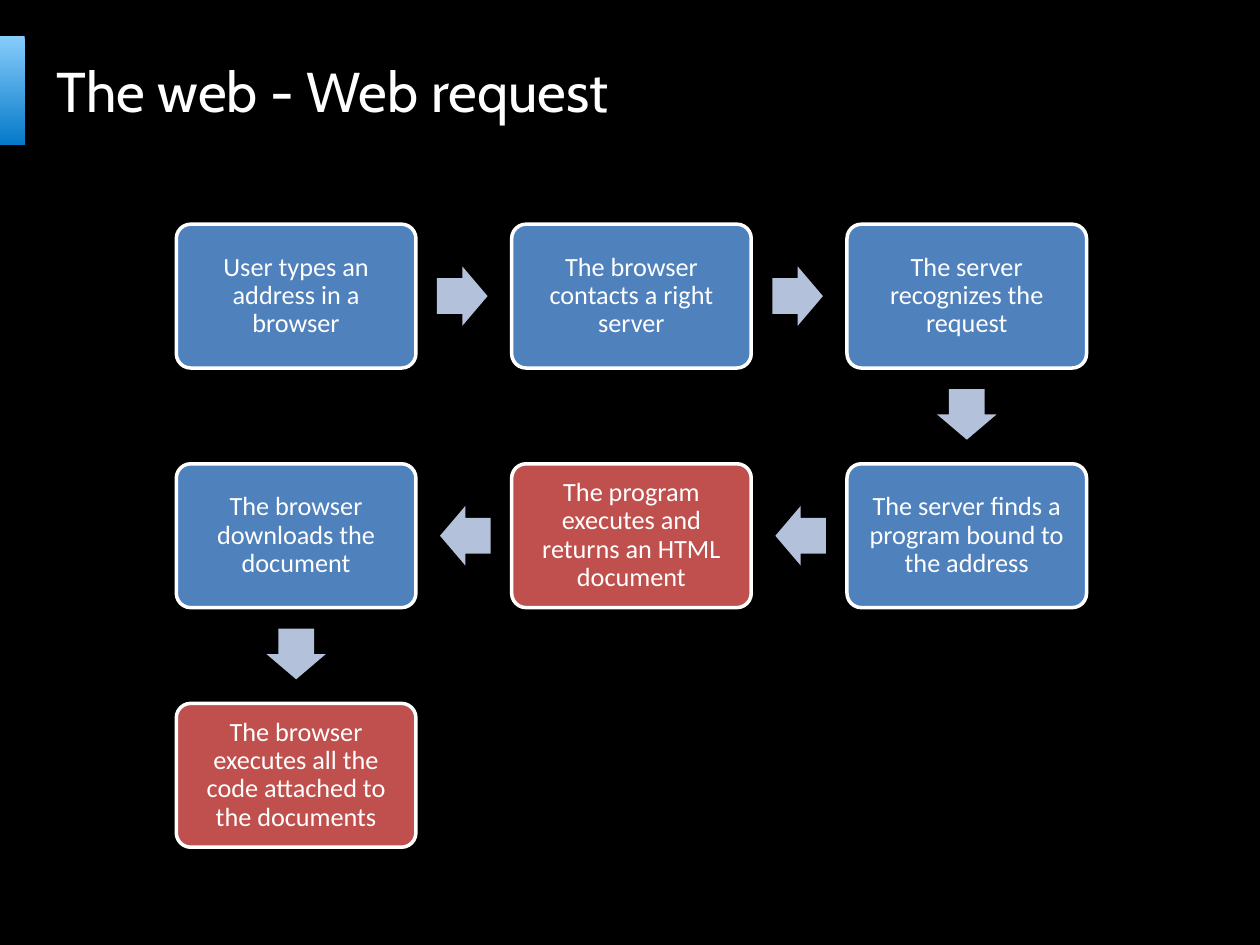
from pptx import Presentation
from pptx.dml.color import RGBColor
from pptx.enum.shapes import MSO_SHAPE
from pptx.enum.text import MSO_ANCHOR, PP_ALIGN
from pptx.util import Cm, Pt

RECTANGLE = MSO_SHAPE.RECTANGLE
ROUNDED = MSO_SHAPE.ROUNDED_RECTANGLE
ARROW = MSO_SHAPE.RIGHT_ARROW
MIDDLE = MSO_ANCHOR.MIDDLE
LEFT, CENTER = PP_ALIGN.LEFT, PP_ALIGN.CENTER

BLACK = RGBColor(0x00, 0x00, 0x00)
WHITE = RGBColor(0xFF, 0xFF, 0xFF)
BLUE = RGBColor(0x4F, 0x81, 0xBD)
RED = RGBColor(0xC0, 0x50, 0x4D)
PALE_BLUE = RGBColor(0xB3, 0xC1, 0xDB)
ACCENT_TOP = RGBColor(0x87, 0xCD, 0xFC)
ACCENT_BOTTOM = RGBColor(0x04, 0x79, 0xC8)


def write(box, text, font, size, align=LEFT, spacing=1.0, inset=None):
    frame = box.text_frame
    frame.word_wrap = True
    frame.vertical_anchor = MIDDLE
    if inset is not None:
        frame.margin_left = frame.margin_right = inset
        frame.margin_top = frame.margin_bottom = inset
    para = frame.paragraphs[0]
    para.alignment = align
    para.line_spacing = spacing
    span = para.add_run()
    span.text = text
    span.font.name = font
    span.font.size = Pt(size)
    span.font.color.rgb = WHITE


deck = Presentation()
deck.slide_width, deck.slide_height = Cm(25.4), Cm(19.05)
page = deck.slides.add_slide(deck.slide_layouts[6])
page.background.fill.solid()
page.background.fill.fore_color.rgb = BLACK

# Accent bar beside the title
bar = page.shapes.add_shape(RECTANGLE, 0, Cm(0.73), Cm(0.5), Cm(2.2))
bar.shadow.inherit = False
bar.line.fill.background()
bar.fill.gradient()
bar.fill.gradient_angle = 270
for stop, color, position in zip(bar.fill.gradient_stops, (ACCENT_TOP, ACCENT_BOTTOM), (0, 1)):
    stop.color.rgb = color
    stop.position = position

# Title
title = page.shapes.add_textbox(Cm(0.89), Cm(0.74), Cm(18), Cm(2.16))
write(title, "The web - Web request", font="Cabin", size=32)

# Steps: text, colour, column, row, in the order of the flow
steps = [
    ("User types an address in a browser", BLUE, 0, 0),
    ("The browser contacts a right server", BLUE, 1, 0),
    ("The server recognizes the request", BLUE, 2, 0),
    ("The server finds a program bound to the address", BLUE, 2, 1),
    ("The program executes and returns an HTML document", RED, 1, 1),
    ("The browser downloads the document", BLUE, 0, 1),
    ("The browser executes all the code attached to the documents", RED, 0, 2),
]
STEP_WIDTH, STEP_HEIGHT = 4.83, 2.9
FIRST_X, FIRST_Y = 5.97, 5.97  # centre of the first step
PITCH_X, PITCH_Y = 6.76, 4.83

for text, color, column, row in steps:
    x, y = FIRST_X + column * PITCH_X, FIRST_Y + row * PITCH_Y
    box = page.shapes.add_shape(ROUNDED, Cm(x - STEP_WIDTH / 2), Cm(y - STEP_HEIGHT / 2),
                                Cm(STEP_WIDTH), Cm(STEP_HEIGHT))
    box.adjustments[0] = 0.1
    box.shadow.inherit = False
    box.fill.solid()
    box.fill.fore_color.rgb = color
    box.line.color.rgb = WHITE
    box.line.width = Pt(2)
    write(box, text, font="Calibri", size=15, align=CENTER, spacing=0.9, inset=Cm(0.24))

# Arrows between consecutive steps, set slightly back from the midpoint
ARROW_LENGTH, ARROW_BREADTH, SETBACK = 1.02, 1.2, 0.03
ANGLES = {(1, 0): 0, (0, 1): 90, (-1, 0): 180}

for (_, _, column, row), (_, _, next_column, next_row) in zip(steps, steps[1:]):
    across, down = next_column - column, next_row - row
    x = FIRST_X + (column + across / 2) * PITCH_X - across * SETBACK
    y = FIRST_Y + (row + down / 2) * PITCH_Y - down * SETBACK
    arrow = page.shapes.add_shape(ARROW, Cm(x - ARROW_LENGTH / 2), Cm(y - ARROW_BREADTH / 2),
                                  Cm(ARROW_LENGTH), Cm(ARROW_BREADTH))
    arrow.adjustments[0] = 0.6
    arrow.adjustments[1] = 0.5
    arrow.rotation = ANGLES[across, down]
    arrow.shadow.inherit = False
    arrow.fill.solid()
    arrow.fill.fore_color.rgb = PALE_BLUE
    arrow.line.fill.background()

deck.save("out.pptx")
